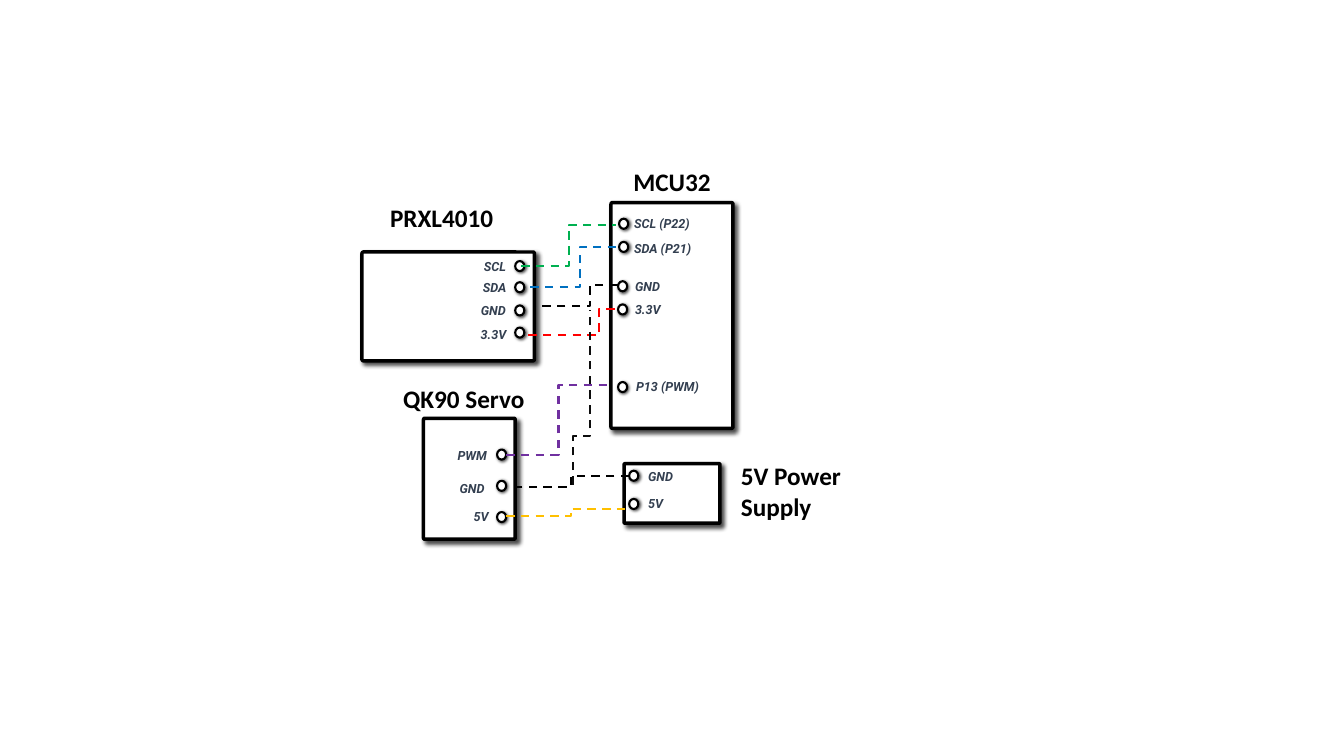
"""Wiring diagram of a sensor, a servo and a power supply around a controller."""
import pptx
import pptx.dml.color
import pptx.enum.dml
import pptx.enum.shapes
import pptx.enum.text
import pptx.oxml
import pptx.oxml.ns
import pptx.util
from pptx.util import Inches

THEME = {
    "title": {"font": "Calibri", "size": 18, "color": "000000", "italic": False},
    "pin": {"font": "Roboto", "size": 9, "color": "333F50", "italic": True},
    "outline": "000000", "fill": "FFFFFF",
    "clock": "00B050", "data": "0070C0", "supply": "FF0000", "ground": "000000",
    "shared ground": "0D0D0D", "power": "FFC000", "signal": "7030A0",
    "board line": 2.5, "wire line": 1.5,
}
PIN_W, PIN_H, LABEL_H = 0.09, 0.1, 0.25
ALIGN = pptx.enum.text.PP_ALIGN
SHAPE = pptx.enum.shapes.MSO_SHAPE


def add_outlined(kind, box, line_width, blur, distance):
    """Add a white, black-edged shape with a soft shadow to the lower right."""
    shape = slide.shapes.add_shape(kind, *map(Inches, box))
    shape.fill.solid()
    shape.fill.fore_color.rgb = pptx.dml.color.RGBColor.from_string(THEME["fill"])
    shape.line.color.rgb = pptx.dml.color.RGBColor.from_string(THEME["outline"])
    shape.line.width = pptx.util.Pt(line_width)
    shape.shadow.inherit = False
    effects = shape._element.spPr.find(pptx.oxml.ns.qn("a:effectLst"))
    effects.append(pptx.oxml.parse_xml(
        f'<a:outerShdw {pptx.oxml.ns.nsdecls("a")} blurRad="{pptx.util.Pt(blur)}" '
        f'dist="{pptx.util.Pt(distance)}" dir="2700000" algn="tl" rotWithShape="0">'
        f'<a:srgbClr val="{THEME["outline"]}"><a:alpha val="70000"/></a:srgbClr></a:outerShdw>'))
    return shape


def add_label(text, box, style, wrap, align):
    """Add one bold line of text in the given theme style."""
    frame = slide.shapes.add_textbox(*map(Inches, box)).text_frame
    frame.word_wrap = wrap
    frame.auto_size = pptx.enum.text.MSO_AUTO_SIZE.SHAPE_TO_FIT_TEXT
    frame.paragraphs[0].alignment = align
    run = frame.paragraphs[0].add_run()
    run.text = text
    run.font.name = style["font"]
    run.font.size = pptx.util.Pt(style["size"])
    run.font.bold = True
    run.font.italic = style["italic"]
    run.font.color.rgb = pptx.dml.color.RGBColor.from_string(style["color"])


presentation = pptx.Presentation()
presentation.slide_width = Inches(13.33)
presentation.slide_height = Inches(7.5)
slide = presentation.slides.add_slide(presentation.slide_layouts[6])

# Each pin: name, pin left, pin top, label left, label top, label width.
devices = [
    ("MCU32", (3.33, 1.6, 6.67, 0.4), ALIGN.CENTER, (6.06, 2.01, 1.21, 2.24), [
        ("SCL (P22)", 6.14, 2.17, 6.19, 2.09, 0.8),
        ("SDA (P21)", 6.14, 2.4, 6.19, 2.34, 0.81),
        ("GND", 6.13, 2.79, 6.2, 2.72, 0.48),
        ("3.3V", 6.13, 3.02, 6.2, 2.95, 0.46),
        ("P13 (PWM)", 6.13, 3.79, 6.21, 3.71, 0.85)]),
    ("PRXL4010", (3.77, 1.96, 1.34, 0.4), ALIGN.LEFT, (3.59, 2.5, 1.71, 1.08), [
        ("SCL", 5.11, 2.59, 4.7, 2.52, 0.45),
        ("SDA", 5.11, 2.8, 4.69, 2.73, 0.47),
        ("GND", 5.11, 3.03, 4.67, 2.96, 0.48),
        ("3.3V", 5.11, 3.25, 4.67, 3.19, 0.46)]),
    ("QK90 Servo", (3.9, 3.75, 1.61, 0.4), ALIGN.LEFT, (4.2, 4.15, 0.91, 1.2), [
        ("PWM", 4.93, 4.46, 4.44, 4.39, 0.51),
        ("GND", 4.93, 4.77, 4.46, 4.72, 0.48),
        ("5V", 4.93, 5.08, 4.6, 5, 0.36)]),
    ("5V Power Supply", (7.25, 4.52, 1.4, 0.71), ALIGN.LEFT, (6.19, 4.6, 0.95, 0.59), [
        ("GND", 6.24, 4.67, 6.33, 4.6, 0.48),
        ("5V", 6.24, 4.95, 6.33, 4.87, 0.36)]),
]
for title, title_box, title_align, board_box, pins in devices:
    board = add_outlined(SHAPE.ROUNDED_RECTANGLE, board_box, THEME["board line"], 3, 3)
    board.adjustments[0] = 0.013
    add_label(title, title_box, THEME["title"], True, title_align)
    for name, pin_x, pin_y, label_x, label_y, label_w in pins:
        add_outlined(SHAPE.OVAL, (pin_x, pin_y, PIN_W, PIN_H), THEME["wire line"], 2, 1)
        add_label(name, (label_x, label_y, label_w, LABEL_H), THEME["pin"], False, ALIGN.LEFT)

wires = [
    ("clock", (5.17, 2.64), (6.11, 2.23), 0.5, 0),
    ("data", (5.26, 2.85), (6.14, 2.45), 0.557, 0),
    ("supply", (5.24, 3.32), (6.13, 3.07), 0.79, 0),
    ("ground", (6.13, 2.83), (5.3, 3.04), 0.34, 0),
    ("power", (5.02, 5.12), (6.2, 5.05), 0.544, 0),
    ("ground", (6.24, 4.72), (5.09, 4.83), 0.5, 0),
    ("shared ground", (6.63, 4.03), (4.9, 3.86), 0.278, 90),
    ("signal", (5.02, 4.51), (6.06, 3.82), 0.5, 0),
]
for role, start, end, bend, turn in wires:
    wire = slide.shapes.add_connector(
        pptx.enum.shapes.MSO_CONNECTOR.ELBOW, *map(Inches, start + end))
    wire.line.color.rgb = pptx.dml.color.RGBColor.from_string(THEME[role])
    wire.line.width = pptx.util.Pt(THEME["wire line"])
    wire.line.dash_style = pptx.enum.dml.MSO_LINE.DASH
    properties = wire._element.spPr
    properties.find(pptx.oxml.ns.qn("a:xfrm")).set("rot", str(turn * 60000))
    guides = properties.find(".//" + pptx.oxml.ns.qn("a:avLst"))
    guides.append(pptx.oxml.parse_xml(
        f'<a:gd {pptx.oxml.ns.nsdecls("a")} name="adj1" fmla="val {round(bend * 100000)}"/>'))
    properties.append(pptx.oxml.parse_xml(f'<a:effectLst {pptx.oxml.ns.nsdecls("a")}/>'))

presentation.save("out.pptx")
